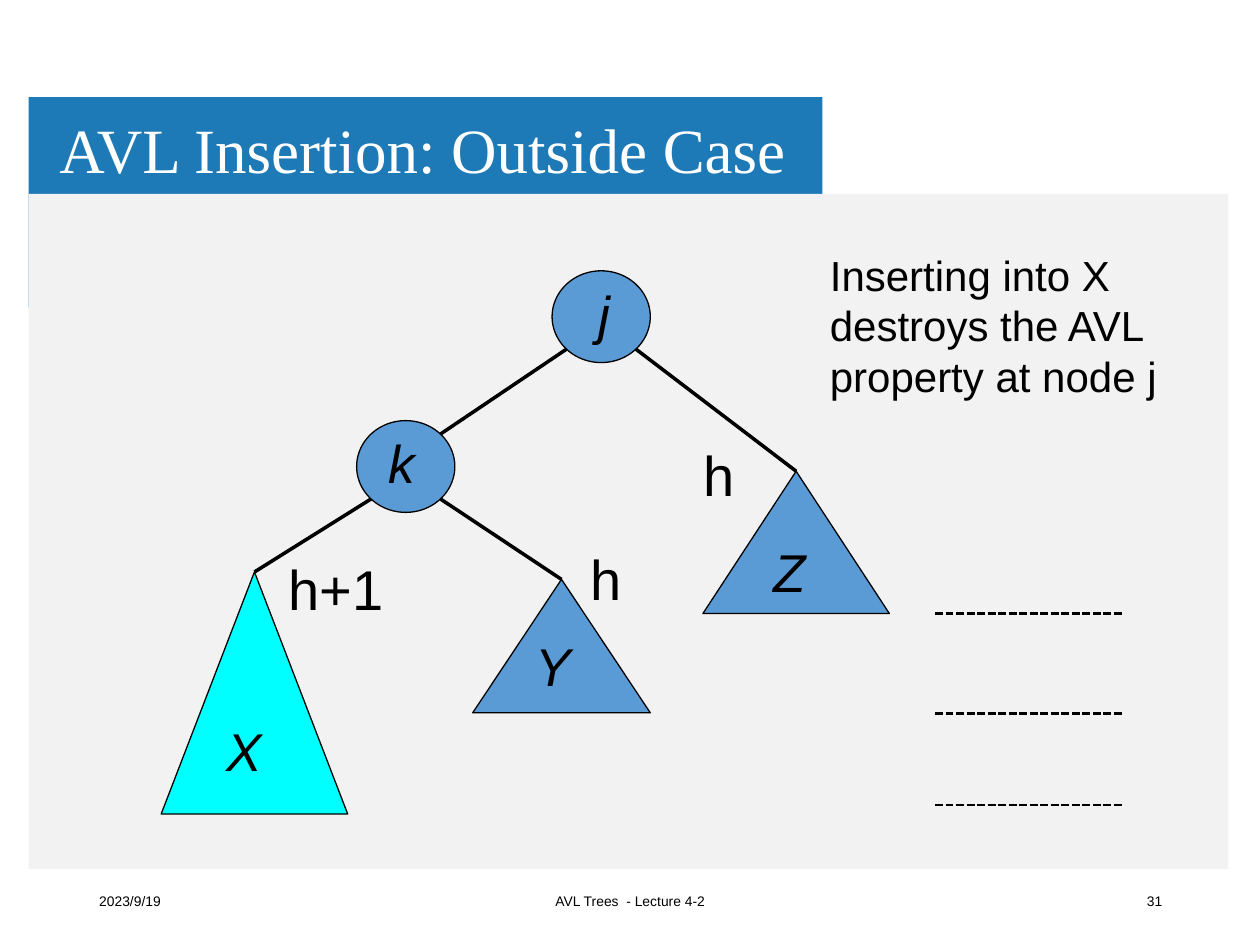
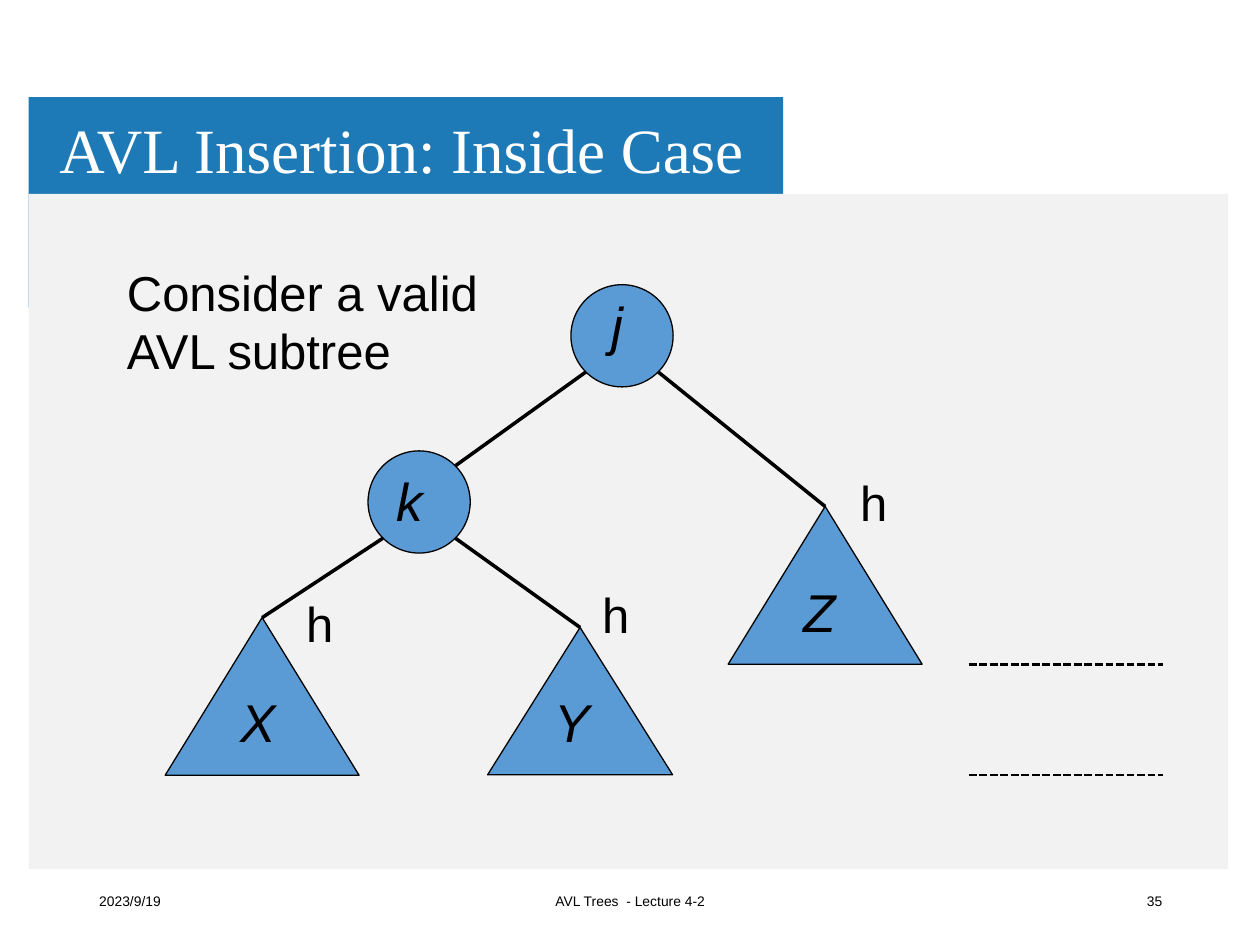
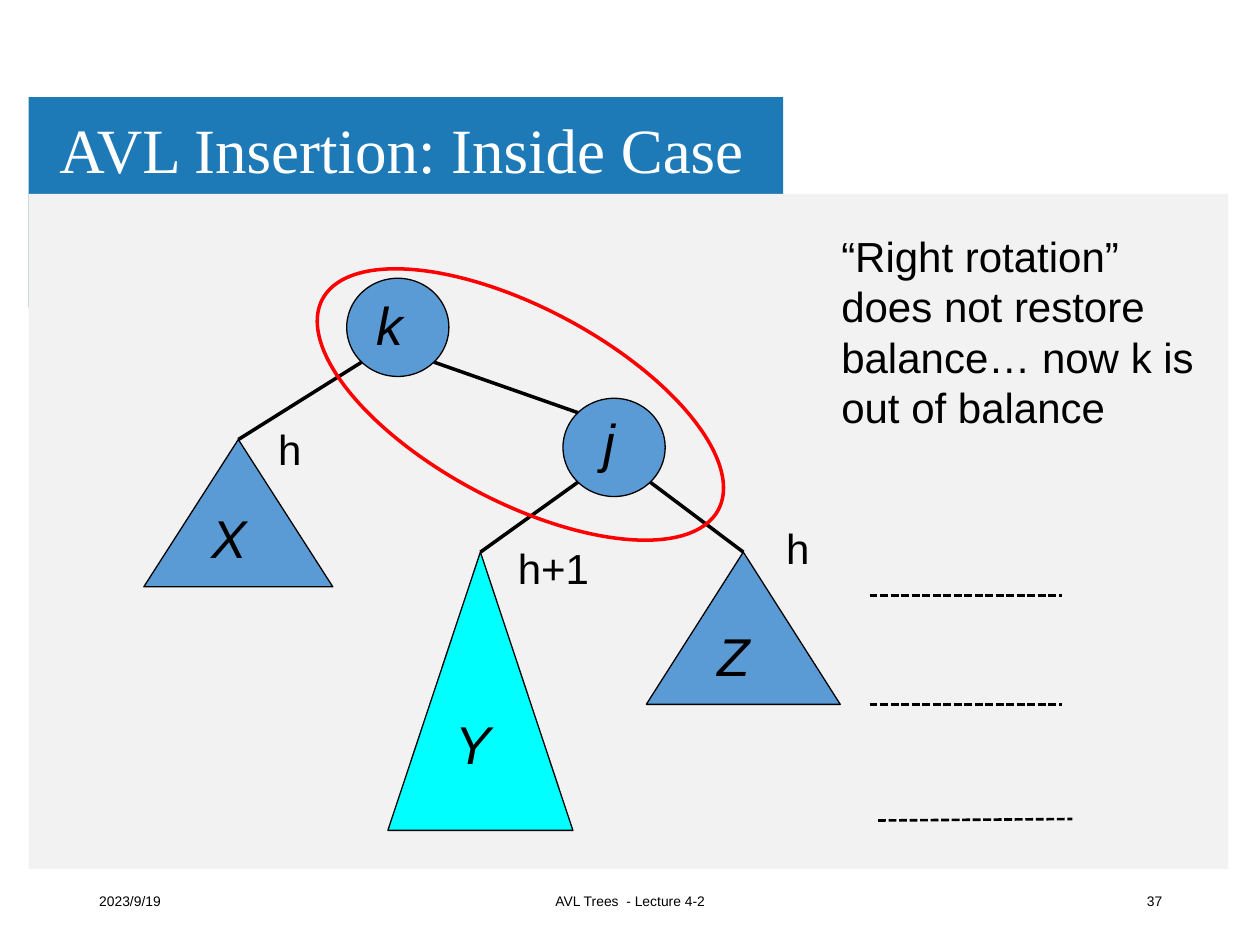
from dataclasses import dataclass
from typing import NamedTuple

from lxml import etree
from pptx import Presentation
from pptx.dml.color import RGBColor
from pptx.enum.dml import MSO_LINE_DASH_STYLE
from pptx.enum.shapes import MSO_CONNECTOR_TYPE, MSO_SHAPE
from pptx.enum.text import MSO_ANCHOR, PP_ALIGN
from pptx.oxml.ns import qn
from pptx.util import Cm, Pt

LEFT, CENTER, RIGHT = PP_ALIGN.LEFT, PP_ALIGN.CENTER, PP_ALIGN.RIGHT
TOP, MIDDLE = MSO_ANCHOR.TOP, MSO_ANCHOR.MIDDLE
RECT, OVAL, TRIANGLE = MSO_SHAPE.RECTANGLE, MSO_SHAPE.OVAL, MSO_SHAPE.ISOSCELES_TRIANGLE
STRAIGHT = MSO_CONNECTOR_TYPE.STRAIGHT
DOTTED = MSO_LINE_DASH_STYLE.SQUARE_DOT
DIAGONAL = 0.5 ** 0.5


@dataclass(frozen=True)
class Theme:
    band: RGBColor = RGBColor(0x1E, 0x7A, 0xB6)
    panel: RGBColor = RGBColor(0xF2, 0xF2, 0xF2)
    tree: RGBColor = RGBColor(0x5B, 0x9B, 0xD5)
    grown: RGBColor = RGBColor(0x00, 0xFF, 0xFF)
    focus: RGBColor = RGBColor(0xFF, 0x00, 0x00)
    ink: RGBColor = RGBColor(0x00, 0x00, 0x00)
    white: RGBColor = RGBColor(0xFF, 0xFF, 0xFF)
    title_font: str = "Times New Roman"
    body_font: str = "Arial"
    title_size: float = 36
    label_size: float = 30.4
    footer_size: float = 7.9
    outline: float = 0.75
    level: float = 1.5
    edge: float = 2


THEME = Theme()


class Point(NamedTuple):
    """A place in centimetres."""
    x: float
    y: float


class Box(NamedTuple):
    """A frame in centimetres."""
    left: float
    top: float
    width: float
    height: float


@dataclass(frozen=True)
class Node:
    box: Box
    label_at: Point

    def corner(self, dx: int, dy: int) -> Point:
        """Point on the rim at 45 degrees; dx and dy are -1 or 1."""
        b = self.box
        return Point(b.left + b.width * (1 + dx * DIAGONAL) / 2,
                     b.top + b.height * (1 + dy * DIAGONAL) / 2)


@dataclass(frozen=True)
class Subtree:
    box: Box
    label_at: Point
    grown: bool = False

    @property
    def apex(self) -> Point:
        return Point(self.box.left + self.box.width / 2, self.box.top)


@dataclass(frozen=True)
class Lesson:
    title: str
    band_width: float
    page: str
    note: str
    note_box: Box
    note_size: float
    nodes: dict[str, Node]
    subtrees: dict[str, Subtree]
    children: dict[str, str]  # parent -> left child, right child
    heights: list[tuple[str, Box]]
    height_size: float
    levels: list[tuple[Point, Point]]
    focus: Box | None = None


FOOTER_TOP, FOOTER_HEIGHT = 17.65, 1.02
PANEL = Box(0.58, 3.91, 24.18, 13.61)
TITLE = Box(1.02, 2.08, 19.61, 2.01)

LESSONS = [
    Lesson(
        "AVL Insertion: Outside Case", 16.0, "31",
        "Inserting into X\ndestroys the AVL\nproperty at node j",
        Box(16.48, 4.9, 7.09, 3.33), 24,
        nodes={"j": Node(Box(11.13, 5.46, 1.98, 1.85), Point(11.81, 5.54)),
               "k": Node(Box(7.19, 8.48, 1.98, 1.85), Point(7.59, 8.56))},
        subtrees={"X": Subtree(Box(3.25, 11.53, 3.76, 4.88), Point(4.32, 14.35), grown=True),
                  "Y": Subtree(Box(9.53, 11.68, 3.58, 2.69), Point(10.54, 12.65)),
                  "Z": Subtree(Box(14.17, 9.5, 3.76, 2.87), Point(15.34, 10.74))},
        children={"j": "kZ", "k": "XY"},
        heights=[("h", Box(13.94, 8.76, 1.17, 1.63)),
                 ("h+1", Box(5.56, 11.05, 3, 1.63)),
                 ("h", Box(11.66, 10.85, 1.17, 1.63))],
        height_size=32,
        levels=[(Point(18.85, y), Point(22.61, y)) for y in (12.37, 14.38, 16.23)],
    ),
    Lesson(
        "AVL Insertion: Inside Case", 15.21, "35",
        "Consider a valid\nAVL subtree",
        Box(2.31, 5.16, 7.59, 2.64), 28,
        nodes={"j": Node(Box(11.51, 5.74, 2.06, 2.06), Point(12.07, 5.77)),
               "k": Node(Box(7.42, 9.09, 2.06, 2.06), Point(7.75, 9.32))},
        subtrees={"X": Subtree(Box(3.33, 12.45, 3.91, 3.18), Point(4.6, 13.77)),
                  "Y": Subtree(Box(9.83, 12.65, 3.73, 2.97), Point(10.92, 13.77)),
                  "Z": Subtree(Box(14.68, 10.21, 3.91, 3.18), Point(15.95, 11.56))},
        children={"j": "kZ", "k": "XY"},
        heights=[("h", Box(17.09, 9.4, 1.14, 1.45)),
                 ("h", Box(11.89, 11.66, 1.14, 1.45)),
                 ("h", Box(5.92, 11.84, 1.14, 1.45))],
        height_size=28,
        levels=[(Point(19.53, y), Point(23.44, y)) for y in (13.39, 15.62)],
    ),
    Lesson(
        "AVL Insertion: Inside Case", 15.21, "37",
        "“Right rotation”\ndoes not restore\nbalance… now k is\nout of balance",
        Box(16.71, 4.52, 7.62, 4.37), 24,
        nodes={"j": Node(Box(11.35, 8.03, 2.06, 1.98), Point(11.91, 8.13)),
               "k": Node(Box(6.99, 5.61, 2.06, 1.98), Point(7.34, 5.77))},
        subtrees={"X": Subtree(Box(2.9, 8.86, 3.81, 2.97), Point(4.01, 10.06)),
                  "Y": Subtree(Box(7.82, 11.13, 3.73, 5.61), Point(8.94, 14.22), grown=True),
                  "Z": Subtree(Box(13.03, 11.13, 3.91, 3.07), Point(14.22, 12.45))},
        children={"k": "Xj", "j": "YZ"},
        heights=[("h", Box(15.6, 10.41, 0.86, 1.27)),
                 ("h+1", Box(10.19, 10.82, 2.01, 1.27)),
                 ("h", Box(5.36, 8.41, 1.22, 1.27))],
        height_size=24,
        levels=[(Point(17.53, 14.2), Point(21.41, 14.2)),
                (Point(17.53, 12.01), Point(21.41, 12.01)),
                (Point(17.7, 16.54), Point(21.62, 16.51))],
        focus=Box(5.97, 6.2, 9.04, 3.91),
    ),
]


def add_shape(slide, kind, box: Box, fill: RGBColor | None,
              line: RGBColor | None = None, weight: float = THEME.outline):
    sp = slide.shapes.add_shape(kind, *map(Cm, box))
    sp.shadow.inherit = False
    if fill is None:
        sp.fill.background()
    else:
        sp.fill.solid()
        sp.fill.fore_color.rgb = fill
    if line is None:
        sp.line.fill.background()
    else:
        sp.line.color.rgb = line
        sp.line.width = Pt(weight)
    return sp


def add_text(slide, text: str, box: Box, size: float, font: str = THEME.body_font,
             color: RGBColor = THEME.ink, italic: bool = False, align=LEFT,
             anchor=TOP, wrap: bool = True):
    tf = slide.shapes.add_textbox(*map(Cm, box)).text_frame
    tf.word_wrap = wrap
    tf.vertical_anchor = anchor
    tf.text = text
    for p in tf.paragraphs:
        p.alignment = align
        for r in p.runs:
            r.font.name, r.font.size = font, Pt(size)
            r.font.color.rgb, r.font.italic = color, italic
    return tf


def add_line(slide, start: Point, end: Point, weight: float, dash=None) -> None:
    line = slide.shapes.add_connector(STRAIGHT, *map(Cm, (*start, *end)))
    line.line.color.rgb = THEME.ink
    line.line.width = Pt(weight)
    if dash is not None:
        line.line.dash_style = dash
    etree.SubElement(line._element.spPr, qn("a:effectLst"))


def add_frame(slide, lesson: Lesson) -> None:
    """Draw the title band, the panel and the footer."""
    add_shape(slide, RECT, Box(PANEL.left, 1.96, lesson.band_width, 4.24), THEME.band)
    add_shape(slide, RECT, PANEL, THEME.panel)
    tf = add_text(slide, lesson.title, TITLE, THEME.title_size, THEME.title_font,
                  THEME.white, anchor=MIDDLE)
    tf.margin_left = tf.margin_right = Cm(0.18)
    tf.margin_top = tf.margin_bottom = Cm(0.1)
    tf.paragraphs[0].line_spacing = 0.9
    for text, left, width, align in (("2023/9/19", 1.75, 5.72, LEFT),
                                     ("AVL Trees  - Lecture 4-2", 8.41, 8.59, CENTER),
                                     (lesson.page, 17.96, 5.72, RIGHT)):
        add_text(slide, text, Box(left, FOOTER_TOP, width, FOOTER_HEIGHT),
                 THEME.footer_size, align=align, anchor=MIDDLE)


def add_tree(slide, lesson: Lesson) -> None:
    for node in lesson.nodes.values():
        add_shape(slide, OVAL, node.box, THEME.tree, THEME.ink)
    for subtree in lesson.subtrees.values():
        fill = THEME.grown if subtree.grown else THEME.tree
        add_shape(slide, TRIANGLE, subtree.box, fill, THEME.ink)
    for name, part in (lesson.nodes | lesson.subtrees).items():
        add_text(slide, name, Box(*part.label_at, 1.22, 1.55), THEME.label_size, italic=True)
    for parent, pair in lesson.children.items():
        for side, child in zip((-1, 1), pair):
            if child in lesson.nodes:
                end = lesson.nodes[child].corner(-side, -1)
            else:
                end = lesson.subtrees[child].apex
            add_line(slide, lesson.nodes[parent].corner(side, 1), end, THEME.edge)


def add_lesson(prs, lesson: Lesson) -> None:
    slide = prs.slides.add_slide(prs.slide_layouts[6])
    add_frame(slide, lesson)
    add_text(slide, lesson.note, lesson.note_box, lesson.note_size, wrap=False)
    add_tree(slide, lesson)
    for start, end in lesson.levels:
        add_line(slide, start, end, THEME.level, DOTTED)
    if lesson.focus:
        add_shape(slide, OVAL, lesson.focus, None, THEME.focus, THEME.edge).rotation = 28
    for text, box in lesson.heights:
        add_text(slide, text, box, lesson.height_size)


def main() -> None:
    prs = Presentation()
    prs.slide_width, prs.slide_height = Cm(25.4), Cm(19.05)
    for lesson in LESSONS:
        add_lesson(prs, lesson)
    prs.save("out.pptx")


if __name__ == "__main__":
    main()
